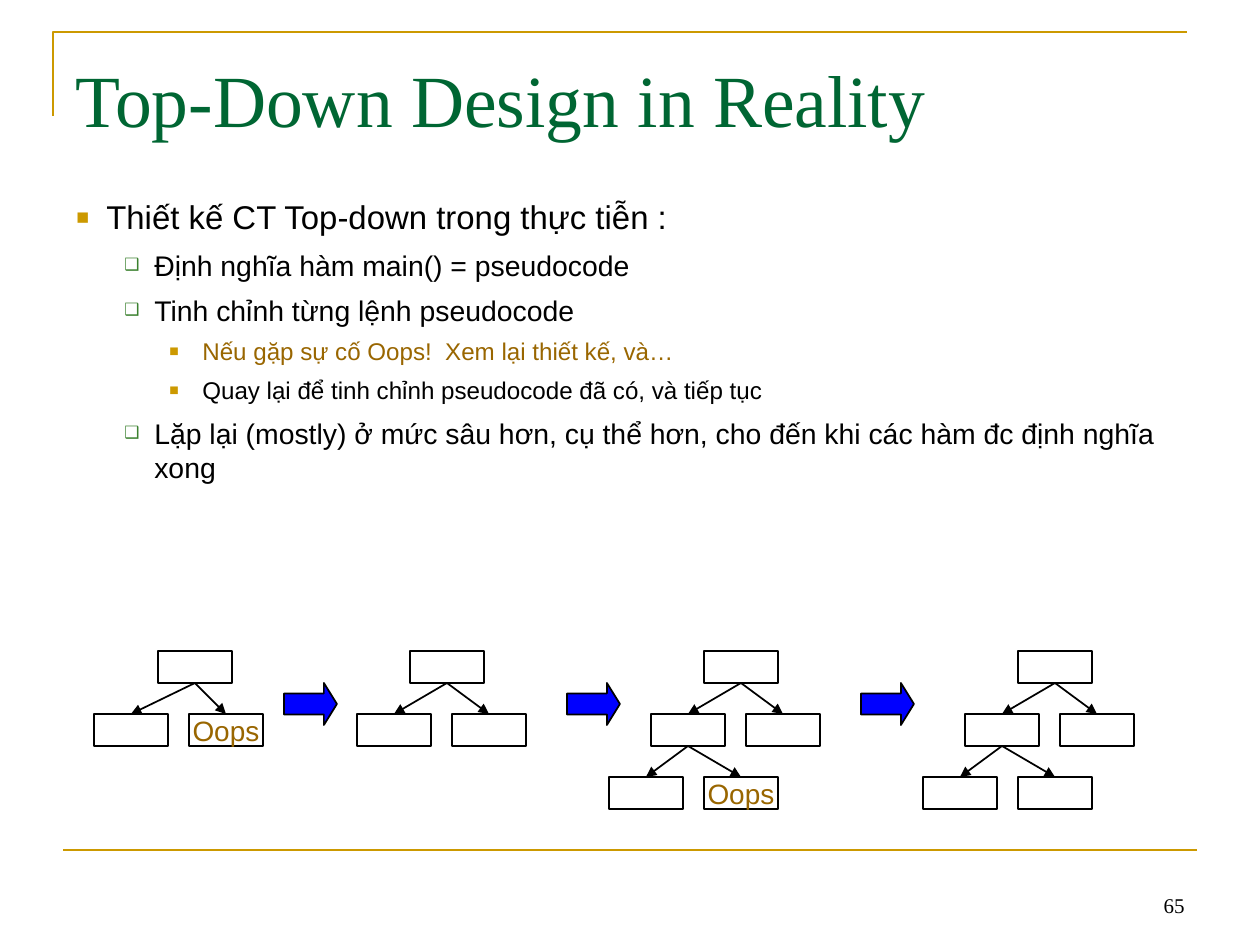
from lxml.etree import SubElement
from pptx import Presentation
from pptx.dml.color import RGBColor
from pptx.enum.shapes import MSO_CONNECTOR, MSO_SHAPE
from pptx.enum.text import MSO_ANCHOR, PP_ALIGN
from pptx.oxml.ns import qn
from pptx.util import Emu, Pt

GOLD, GREEN, BROWN, BLACK, BLUE = "CC9900", "006633", "996600", "000000", "0000FF"
NODE_W, NODE_H, LEVEL_H, SIBLING = 74, 32, 63, 95
LEVELS = [
    dict(size=18.8, before=7.5, left=30, hang=30, mark="■", tint=GOLD, scale=65),
    dict(size=16.2, before=6.5, left=78, hang=30, mark="❑", tint="3B812F", scale=60),
    dict(size=13.8, before=5.5, left=126, hang=33, mark="■", tint=GOLD, scale=65),
]
POINTS = [
    (0, "Thiết kế CT Top-down trong thực tiễn :", BLACK),
    (1, "Định nghĩa hàm main() = pseudocode", BLACK),
    (1, "Tinh chỉnh từng lệnh pseudocode", BLACK),
    (2, "Nếu gặp sự cố Oops!  Xem lại thiết kế, và…", BROWN),
    (2, "Quay lại để tinh chỉnh pseudocode đã có, và tiếp tục", BLACK),
    (1, "Lặp lại (mostly) ở mức sâu hơn, cụ thể hơn, cho đến khi các hàm đc định nghĩa xong", BLACK),
]
TREES = [
    (158, [-64], True),
    (410, [-53], False),
    (704, [-53, -42], True),
    (1018, [-53, -42], False),
]


def px(n):
    return Emu(round(n * 914400 / 126))


def color(value):
    return RGBColor.from_string(value)


def add_run(p, text, size, font, tint):
    r = p.add_run()
    r.text = text
    r.font.size = Pt(size)
    r.font.name = font
    r.font.color.rgb = color(tint)


def add_text_box(s, box, top=6):
    tf = s.shapes.add_textbox(*map(px, box)).text_frame
    tf.word_wrap = True
    tf.margin_top = px(top)
    return tf


def add_line(s, start, end, tint, width, arrow=False):
    sp = s.shapes.add_connector(MSO_CONNECTOR.STRAIGHT, *map(px, start + end))
    sp.line.color.rgb = color(tint)
    sp.line.width = Pt(width)
    if arrow:
        SubElement(sp.line._get_or_add_ln(), qn("a:tailEnd"), type="triangle")
    SubElement(sp._element.spPr, qn("a:effectLst"))


def add_frame(s, x, y, w, h):
    builder = s.shapes.build_freeform(px(x), px(y + h))
    builder.add_line_segments([(px(x), px(y)), (px(x + w), px(y))], close=False)
    sp = builder.convert_to_shape()
    sp.shadow.inherit = False
    sp.fill.background()
    sp.line.color.rgb = color(GOLD)
    sp.line.width = Pt(1.5)


def add_title(s, box):
    tf = add_text_box(s, box, 16)
    add_run(tf.paragraphs[0], "Top-Down Design in Reality", 42, "Times New Roman", GREEN)


def add_bullet(p, level):
    pPr = p._p.get_or_add_pPr()
    pPr.set("marL", str(px(level["left"])))
    pPr.set("indent", str(-px(level["hang"])))
    SubElement(SubElement(pPr, qn("a:buClr")), qn("a:srgbClr"), val=level["tint"])
    SubElement(pPr, qn("a:buSzPct"), val=str(level["scale"] * 1000))
    SubElement(pPr, qn("a:buFont"), typeface="Arial")
    SubElement(pPr, qn("a:buChar"), char=level["mark"])


def add_body(s, box):
    tf = add_text_box(s, box, 62)
    for i, (depth, text, tint) in enumerate(POINTS):
        level = LEVELS[depth]
        p = tf.add_paragraph() if i else tf.paragraphs[0]
        p.level = depth
        p.space_before = Pt(level["before"] if i else 0)
        add_bullet(p, level)
        add_run(p, text, level["size"], "Arial", tint)


def add_node(s, x, y, text=""):
    sp = s.shapes.add_shape(MSO_SHAPE.RECTANGLE, px(x), px(y), px(NODE_W), px(NODE_H))
    sp.shadow.inherit = False
    sp.fill.background()
    sp.line.color.rgb = color(BLACK)
    sp.line.width = Pt(1)
    if text:
        tf = sp.text_frame
        tf.word_wrap = False
        tf.vertical_anchor = MSO_ANCHOR.MIDDLE
        p = tf.paragraphs[0]
        p.alignment = PP_ALIGN.CENTER
        add_run(p, text, 16, "Arial", BROWN)


def add_tree(s, x, y, shifts, fails):
    add_node(s, x, y)
    for i, shift in enumerate(shifts):
        start = (x + NODE_W // 2, y + NODE_H)
        x, y = x + shift, y + LEVEL_H
        last = i == len(shifts) - 1
        for left, text in ((x, ""), (x + SIBLING, "Oops" if fails and last else "")):
            add_node(s, left, y, text)
            add_line(s, start, (left + NODE_W // 2, y), BLACK, 1, arrow=True)


def add_step_arrow(s, box):
    sp = s.shapes.add_shape(MSO_SHAPE.RIGHT_ARROW, *map(px, box))
    sp.adjustments[0] = 0.5
    sp.adjustments[1] = 0.31
    sp.shadow.inherit = False
    sp.fill.solid()
    sp.fill.fore_color.rgb = color(BLUE)
    sp.line.color.rgb = color(BLACK)
    sp.line.width = Pt(1)


def add_refinement(s, y):
    for x, shifts, fails in TREES:
        add_tree(s, x, y, shifts, fails)
    for x in (284, 567, 861):
        add_step_arrow(s, (x, y + 32, 53, 42))


def add_page_number(s, box):
    tf = add_text_box(s, box)
    tf.vertical_anchor = MSO_ANCHOR.BOTTOM
    p = tf.paragraphs[0]
    p.alignment = PP_ALIGN.RIGHT
    add_run(p, "65", 12, "Times New Roman", BLACK)


def main():
    prs = Presentation()
    prs.slide_width, prs.slide_height = px(1260), px(945)
    s = prs.slides.add_slide(prs.slide_layouts[6])
    add_frame(s, 53, 32, 1134, 84)
    add_line(s, (63, 850), (1197, 850), GOLD, 1.5)
    add_title(s, (63, 38, 1134, 158))
    add_body(s, (64, 135, 1124, 355))
    add_refinement(s, 651)
    add_page_number(s, (903, 861, 294, 63))
    prs.save("out.pptx")


if __name__ == "__main__":
    main()
